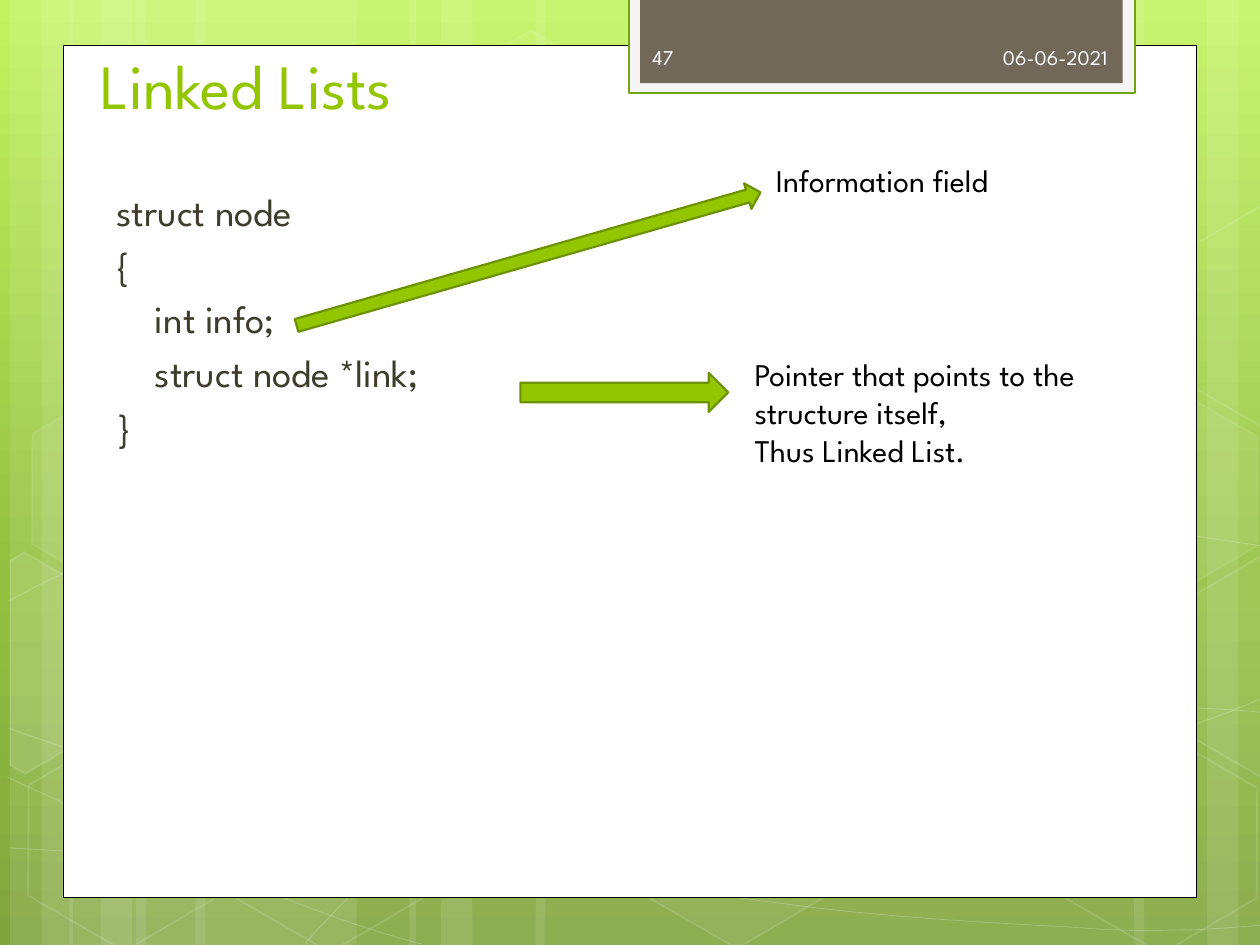
import copy
import math
from dataclasses import dataclass
from typing import Optional

import pptx
import pptx.dml.color
import pptx.enum.shapes
import pptx.enum.text
import pptx.oxml
import pptx.oxml.ns
import pptx.util
from lxml import etree
from pptx.util import Inches

RGBColor = pptx.dml.color.RGBColor
Shape = pptx.enum.shapes.MSO_SHAPE
Anchor = pptx.enum.text.MSO_ANCHOR
Align = pptx.enum.text.PP_ALIGN
qn = pptx.oxml.ns.qn

WHITE = RGBColor(0xFF, 0xFF, 0xFF)
BLACK = RGBColor(0x00, 0x00, 0x00)
GREEN = RGBColor(0x94, 0xC6, 0x00)
DARK_GREEN = RGBColor(0x6D, 0x92, 0x00)
TAB_GREEN = RGBColor(0x74, 0xA5, 0x10)
TAB_FRAME = RGBColor(0xF5, 0xF5, 0xF5)
TAB_BROWN = RGBColor(0x71, 0x68, 0x5A)
TAB_TEXT = RGBColor(0xFE, 0xFE, 0xFE)
CODE_INK = RGBColor(0x3E, 0x3D, 0x2D)
BACKDROP = [(0, RGBColor(0xC3, 0xF3, 0x5F)), (0.62, RGBColor(0x93, 0xBF, 0x3F)),
            (1, RGBColor(0x81, 0xA5, 0x3E))]
FONT = "League Spartan"
HEXAGON_TILT = 30

Point = tuple[float, float]


@dataclass
class Paint:
    """Fill and line of a shape; opacities are in percent."""
    fill: Optional[RGBColor] = None
    fill_opacity: int = 100
    line: Optional[RGBColor] = None
    line_width: float = 1
    line_opacity: int = 100


@dataclass
class Label:
    box: tuple[float, float, float, float]
    lines: list[str]
    size: int
    color: RGBColor
    anchor: Anchor = Anchor.TOP
    align: Align = Align.LEFT
    space_before: float = 0


@dataclass
class Hexagon:
    left: float
    top: float
    fill_opacity: int
    line_opacity: int


@dataclass
class CutHexagon:
    """A tilted hexagon cut off by the slide edge."""
    center: Point
    corners: list[Point]
    fill_opacity: int


STRIPES = [(1.08, 1.75), (0.08, 0.5), (0.33, 0.83), (1.55, 1.75), (0.55, 0.5), (0.8, 0.83),
           (7.33, 1.75), (9.58, 0.5), (9, 0.83), (4.25, 3.08), (3.25, 0.5), (3.5, 0.83)]

# Each curve is a start point followed by three Bézier points per segment.
CURVES: list[list[Point]] = [
    [(0.07, 6.73), (0.61, 6.76), (1.15, 6.79), (1.9, 6.78), (2.65, 6.77), (3.58, 6.75),
     (4.58, 6.65), (5.58, 6.55), (7, 6.36), (7.92, 6.17), (8.83, 5.98), (9.77, 5.68),
     (10.07, 5.51)],
    [(0.07, 4.77), (0.36, 4.61), (0.65, 4.46), (1.21, 4.31), (1.78, 4.16), (2.59, 3.94),
     (3.47, 3.87), (4.36, 3.8), (5.44, 3.79), (6.54, 3.87), (7.64, 3.95), (9.47, 4.26),
     (10.07, 4.34)],
    [(0.06, 6.17), (1.27, 6.72), (2.47, 7.27), (3.34, 7.49)],
    [(0.07, 5.78), (0.38, 5.89), (0.7, 6), (1.28, 6.16), (1.86, 6.31), (2.73, 6.56),
     (3.57, 6.73), (4.4, 6.9), (5.45, 7.08), (6.28, 7.18), (7.11, 7.29), (8, 7.33),
     (8.53, 7.36), (9.05, 7.4), (9.19, 7.38), (9.45, 7.38), (9.71, 7.37), (9.89, 7.35),
     (10.07, 7.34)],
    [(2.42, 7.49), (2.6, 7.29), (2.78, 7.09), (3.02, 6.91), (3.26, 6.73), (3.6, 6.53),
     (3.88, 6.39), (4.16, 6.25), (4.33, 6.19), (4.7, 6.09), (5.06, 5.99), (5.73, 5.85),
     (6.08, 5.78), (6.44, 5.71), (6.49, 5.71), (6.8, 5.69), (7.11, 5.66), (7.6, 5.63),
     (7.94, 5.62), (8.29, 5.61), (8.86, 5.62), (8.86, 5.62), (8.86, 5.62), (9.53, 5.62),
     (9.53, 5.62), (9.71, 5.63), (9.88, 5.64), (9.97, 5.65), (10.06, 5.66), (10.03, 5.65),
     (10.06, 5.66)],
]

HEXAGONS = [
    Hexagon(3.34, 0.36, 4, 8), Hexagon(4.97, 5.89, 6, 12), Hexagon(0.11, 5.91, 0, 12),
    Hexagon(0.14, 3.12, 7, 8), Hexagon(1.74, 5.92, 0, 12), Hexagon(7.53, 4.53, 10, 12),
    Hexagon(8.34, 5.93, 0, 12), Hexagon(8.34, 3.14, 7, 8),
]
CUT_HEXAGONS = [
    CutHexagon((0.36, 5.35), [(0.08, 4.45), (0.19, 4.38), (0.96, 4.82), (0.95, 5.7),
                              (0.2, 6.14), (0.08, 6.07)], 10),
    CutHexagon((9.85, 5.2), [(9.26, 4.85), (10.01, 4.41), (10.09, 4.46), (10.09, 6.13),
                             (10.02, 6.17), (9.26, 5.73)], 4),
    CutHexagon((9.85, 2.41), [(9.26, 2.07), (10.01, 1.63), (10.1, 1.68), (10.09, 3.35),
                              (10.02, 3.39), (9.26, 2.95)], 0),
]

ARROW = Paint(fill=GREEN, line=DARK_GREEN, line_width=1.25)
STRUCT_CODE = ["struct node", "{", "    int info;", "    struct node *link;", "}"]
LABELS = [
    Label((0.7, 0.52, 7.68, 0.5), ["Linked Lists"], 36, GREEN, Anchor.BOTTOM),
    Label((0.83, 1.44, 7.41, 3.84), STRUCT_CODE, 22, CODE_INK, space_before=4.4),
    Label((5.89, 2.77, 3.2, 1.01),
          ["Pointer that points to the structure itself,", "Thus Linked List."], 18, BLACK),
    Label((6.06, 1.23, 3.2, 0.4), ["Information field"], 18, BLACK),
    Label((6.56, 0.25, 2.33, 0.4), ["06-06-2021"], 12, TAB_TEXT, Anchor.MIDDLE, Align.RIGHT),
    Label((5.08, 0.25, 1.46, 0.4), ["47"], 12, TAB_TEXT, Anchor.MIDDLE),
]


def set_opacity(color_parent, percent: int) -> None:
    if percent < 100:
        color = color_parent.find(qn("a:solidFill"))[0]
        etree.SubElement(color, qn("a:alpha")).set("val", str(percent * 1000))


def apply_paint(shape, paint: Paint) -> None:
    shape.shadow.inherit = False
    properties = shape.element.spPr
    if paint.fill is None or paint.fill_opacity == 0:
        shape.fill.background()
    else:
        shape.fill.solid()
        shape.fill.fore_color.rgb = paint.fill
        set_opacity(properties, paint.fill_opacity)
    if paint.line is None:
        shape.line.fill.background()
    else:
        shape.line.color.rgb = paint.line
        shape.line.width = pptx.util.Pt(paint.line_width)
        set_opacity(properties.find(qn("a:ln")), paint.line_opacity)


def add_preset(slide, kind: Shape, box: tuple[float, float, float, float], paint: Paint,
               rotation: float = 0):
    shape = slide.shapes.add_shape(kind, *map(Inches, box))
    shape.rotation = rotation
    apply_paint(shape, paint)
    return shape


def add_outline(slide, points: list[Point], paint: Paint, closed: bool):
    start, *rest = [(Inches(x), Inches(y)) for x, y in points]
    builder = slide.shapes.build_freeform(*start)
    builder.add_line_segments(rest, close=closed)
    shape = builder.convert_to_shape()
    apply_paint(shape, paint)
    return shape


def bend_segments(shape) -> None:
    """Turn every three straight segments into one cubic Bézier segment."""
    outline = shape.element.find(".//" + qn("a:path"))
    segments = outline.findall(qn("a:lnTo"))
    for first in range(0, len(segments), 3):
        bend = etree.SubElement(outline, qn("a:cubicBezTo"))
        for segment in segments[first:first + 3]:
            bend.append(segment[0])
            outline.remove(segment)


def turn(point: Point, center: Point, degrees: float) -> Point:
    angle = math.radians(degrees)
    dx, dy = point[0] - center[0], point[1] - center[1]
    return (center[0] + dx * math.cos(angle) - dy * math.sin(angle),
            center[1] + dx * math.sin(angle) + dy * math.cos(angle))


def add_label(slide, label: Label) -> None:
    frame = slide.shapes.add_textbox(*map(Inches, label.box)).text_frame
    frame.word_wrap = True
    frame.vertical_anchor = label.anchor
    frame.text = "\n".join(label.lines)
    for number, paragraph in enumerate(frame.paragraphs):
        paragraph.alignment = label.align
        if number and label.space_before:
            paragraph.space_before = pptx.util.Pt(label.space_before)
        for run in paragraph.runs:
            run.font.name = FONT
            run.font.size = pptx.util.Pt(label.size)
            run.font.color.rgb = label.color


def paint_background(slide) -> None:
    fill = slide.background.fill
    fill.gradient()
    fill.gradient_angle = 270
    stop_list = slide.element.find(".//" + qn("a:gsLst"))
    stop_list.append(copy.deepcopy(stop_list[-1]))
    for stop, (position, color) in zip(fill.gradient_stops, BACKDROP):
        stop.position = position
        stop.color.rgb = color


def add_decoration(slide) -> None:
    for left, width in STRIPES:
        add_preset(slide, Shape.RECTANGLE, (left, 0, width, 7.5), Paint(WHITE, 10))
    for knots in CURVES:
        bend_segments(add_outline(slide, knots, Paint(None, 100, WHITE, 0.5, 20), closed=False))
    for cell in HEXAGONS:
        paint = Paint(WHITE, cell.fill_opacity, WHITE, 1, cell.line_opacity)
        hexagon = add_preset(slide, Shape.HEXAGON, (cell.left, cell.top, 1.75, 1.52), paint,
                             HEXAGON_TILT)
        hexagon.adjustments[0] = 0.285
    for cut in CUT_HEXAGONS:
        upright = [turn(corner, cut.center, -HEXAGON_TILT) for corner in cut.corners]
        paint = Paint(WHITE, cut.fill_opacity, WHITE, 1, 12)
        add_outline(slide, upright, paint, closed=True).rotation = HEXAGON_TILT


def main() -> None:
    deck = pptx.Presentation()
    deck.slide_width, deck.slide_height = Inches(10), Inches(7.5)
    slide = deck.slides.add_slide(deck.slide_layouts[6])
    paint_background(slide)
    add_decoration(slide)
    add_preset(slide, Shape.RECTANGLE, (0.5, 0.36, 9, 6.76), Paint(WHITE, line=BLACK, line_width=0.5))
    add_preset(slide, Shape.RECTANGLE, (4.99, -0.02, 4.02, 0.76),
               Paint(TAB_FRAME, line=TAB_GREEN, line_width=1.25))
    add_preset(slide, Shape.RECTANGLE, (5.08, -0.02, 3.83, 0.68), Paint(TAB_BROWN))
    add_preset(slide, Shape.RIGHT_ARROW, (4.13, 2.96, 1.65, 0.31), ARROW)
    add_preset(slide, Shape.RIGHT_ARROW, (2.28, 1.95, 3.83, 0.21), ARROW, 344)
    for label in LABELS:
        add_label(slide, label)
    deck.save("out.pptx")


if __name__ == "__main__":
    main()
